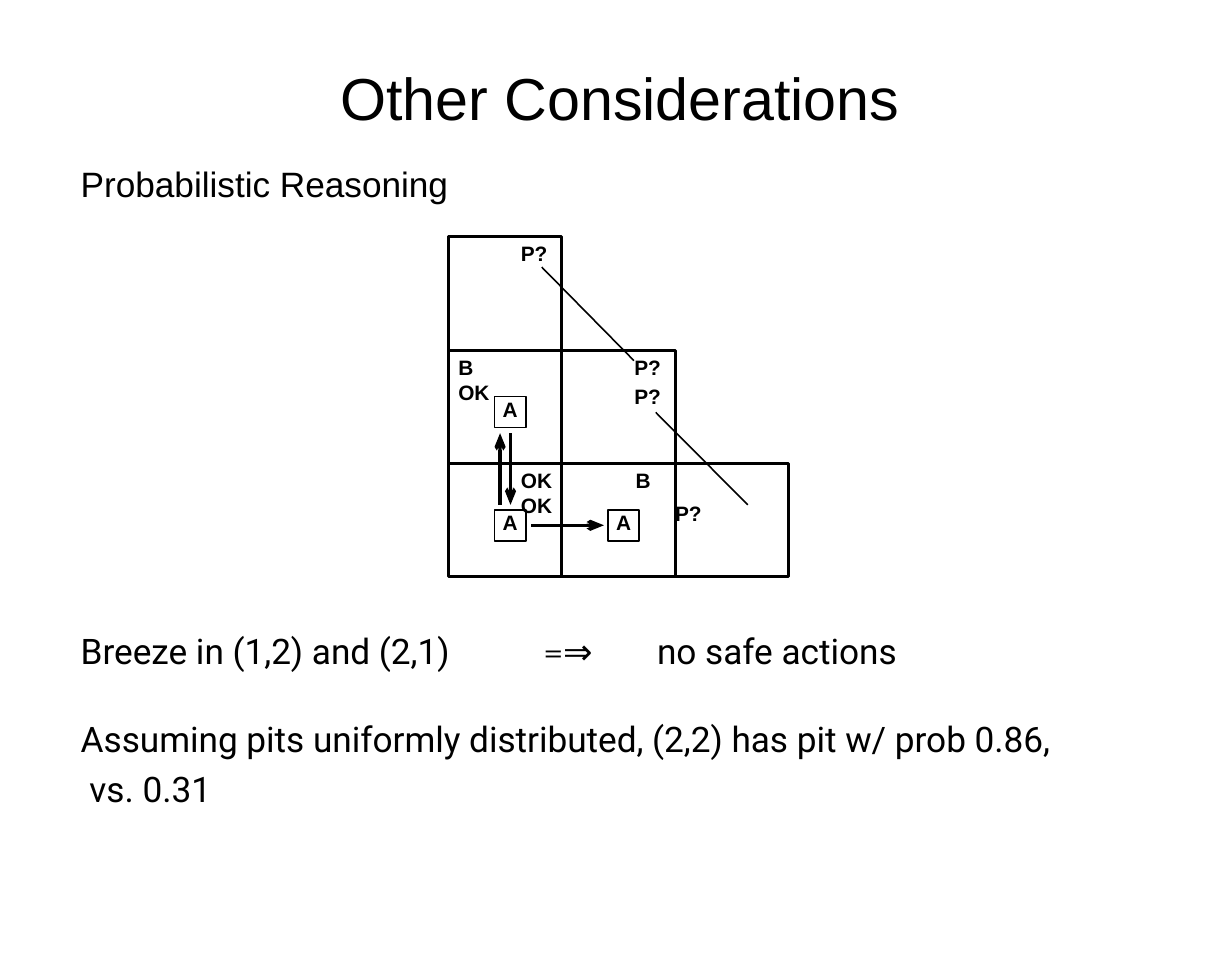
from dataclasses import dataclass

from lxml.etree import SubElement
from pptx import Presentation
from pptx.dml.color import RGBColor
from pptx.enum.shapes import MSO_CONNECTOR, MSO_SHAPE
from pptx.enum.text import MSO_ANCHOR, PP_ALIGN
from pptx.oxml.ns import qn
from pptx.util import Cm, Pt

COLORS = {"ink": "000000"}
INK = RGBColor.from_string(COLORS["ink"])
LABEL = {"name": "Arial", "size": Pt(13), "bold": True}
TITLE = {"name": "Arial", "size": Pt(37)}
SUBTITLE = {"name": "Arial", "size": Pt(22)}
BODY = {"name": "Roboto", "size": Pt(22)}

GRID_LEFT, GRID_BOTTOM, CELL = 9.88, 12.72, 2.5
AGENT, AGENT_OFFSET = 0.69, 1.02
THIN, THICK = 1, 1.98


@dataclass
class Room:
    """A cave square, counted from the bottom left, with its labels."""
    col: int
    row: int
    labels: tuple[str, ...]
    inset: float
    top: float = 0.09
    gap: float = 0
    agent: bool = False

    @property
    def left(self) -> float:
        return GRID_LEFT + self.col * CELL

    @property
    def upper(self) -> float:
        return GRID_BOTTOM - (self.row + 1) * CELL


@dataclass
class Segment:
    start: tuple[float, float]
    end: tuple[float, float]
    width: float
    arrow: bool = False


ROOMS = [
    Room(0, 0, ("OK", "OK"), 1.6, agent=True),
    Room(1, 0, ("B",), 1.63, agent=True),
    Room(0, 1, ("B", "OK"), 0.22, agent=True),
    Room(0, 2, ("P?",), 1.6),
    Room(1, 1, ("P?", "P?"), 1.6, gap=3),
    Room(2, 0, ("P?",), 0, top=0.81),
]
SEGMENTS = [
    Segment((11.02, 11.13), (11.02, 9.55), THICK, True),
    Segment((11.25, 9.55), (11.25, 11.13), THICK, True),
    Segment((11.71, 11.58), (13.31, 11.58), THICK, True),
    Segment((11.94, 5.89), (13.97, 7.95), THIN),
    Segment((14.45, 9.09), (16.48, 11.13), THIN),
]


def add_run(p, text: str, fmt: dict) -> None:
    r = p.add_run()
    r.text = text
    for key, value in fmt.items():
        setattr(r.font, key, value)
    r.font.color.rgb = INK


def set_frame(tf, left: float = 0, top: float = 0, bottom: float = 0,
              anchor=MSO_ANCHOR.TOP) -> None:
    fmt = {"margin_left": Cm(left), "margin_top": Cm(top), "margin_right": 0,
           "margin_bottom": Cm(bottom), "word_wrap": True, "vertical_anchor": anchor}
    for key, value in fmt.items():
        setattr(tf, key, value)


def add_text(s, left: float, top: float, width: float, height: float):
    """Add a text box and return its frame."""
    tf = s.shapes.add_textbox(Cm(left), Cm(top), Cm(width), Cm(height)).text_frame
    set_frame(tf, top=0.05)
    return tf


def add_square(s, left: float, top: float, side: float, width: float):
    sp = s.shapes.add_shape(MSO_SHAPE.RECTANGLE, Cm(left), Cm(top), Cm(side), Cm(side))
    sp.shadow.inherit = False
    sp.fill.background()
    sp.line.color.rgb = INK
    sp.line.width = Pt(width)
    return sp.text_frame


def add_room(s, room: Room) -> None:
    tf = add_square(s, room.left, room.upper, CELL, THICK)
    set_frame(tf, room.inset, room.top)
    for i, label in enumerate(room.labels):
        p = tf.add_paragraph() if i else tf.paragraphs[0]
        p.alignment = PP_ALIGN.LEFT
        p.space_before = Pt(room.gap if i else 0)
        add_run(p, label, LABEL)


def add_agent(s, room: Room) -> None:
    tf = add_square(s, room.left + AGENT_OFFSET, room.upper + AGENT_OFFSET, AGENT, THIN)
    set_frame(tf, bottom=0.13, anchor=MSO_ANCHOR.MIDDLE)
    tf.paragraphs[0].alignment = PP_ALIGN.CENTER
    add_run(tf.paragraphs[0], "A", LABEL)


def add_segment(s, seg: Segment) -> None:
    line = s.shapes.add_connector(MSO_CONNECTOR.STRAIGHT,
                                  *(Cm(v) for v in seg.start + seg.end))
    line.line.color.rgb = INK
    line.line.width = Pt(seg.width)
    props = line._element.spPr
    if seg.arrow:
        SubElement(props.find(qn("a:ln")), qn("a:tailEnd"), type="arrow", w="med", len="lg")
    SubElement(props, qn("a:effectLst"))


def add_conclusions(s) -> None:
    tf = add_text(s, 1.78, 13.82, 22.5, 3.84)
    p = tf.paragraphs[0]
    tabs = SubElement(p._p.get_or_add_pPr(), qn("a:tabLst"))
    for stop in (10.2, 12.7):
        SubElement(tabs, qn("a:tab"), pos=str(Cm(stop)), algn="l")
    for text, font in (("Breeze in (1,2) and (2,1)\t", "Roboto"), ("=", "Cambria"),
                       ("⇒\t", "Open Sans"), ("no safe actions", "Roboto")):
        add_run(p, text, BODY | {"name": font})
    p = tf.add_paragraph()
    p.space_before = Pt(24)
    p.line_spacing = 1.18
    add_run(p, "Assuming pits uniformly distributed, (2,2) has pit w/ prob 0.86,", BODY)
    p.add_line_break()
    add_run(p, " vs. 0.31", BODY)


def main() -> None:
    prs = Presentation()
    prs.slide_width, prs.slide_height = Cm(27.15), Cm(21.23)
    s = prs.slides.add_slide(prs.slide_layouts[6])

    p = add_text(s, 7.29, 1.3, 12.75, 1.65).paragraphs[0]
    p.alignment = PP_ALIGN.CENTER
    add_run(p, "Other Considerations", TITLE)
    p = add_text(s, 1.78, 3.53, 9, 1.04).paragraphs[0]
    add_run(p, "Probabilistic Reasoning", SUBTITLE)

    for room in ROOMS:
        add_room(s, room)
    for room in ROOMS:
        if room.agent:
            add_agent(s, room)
    for seg in SEGMENTS:
        add_segment(s, seg)
    add_conclusions(s)
    prs.save("out.pptx")


if __name__ == "__main__":
    main()
